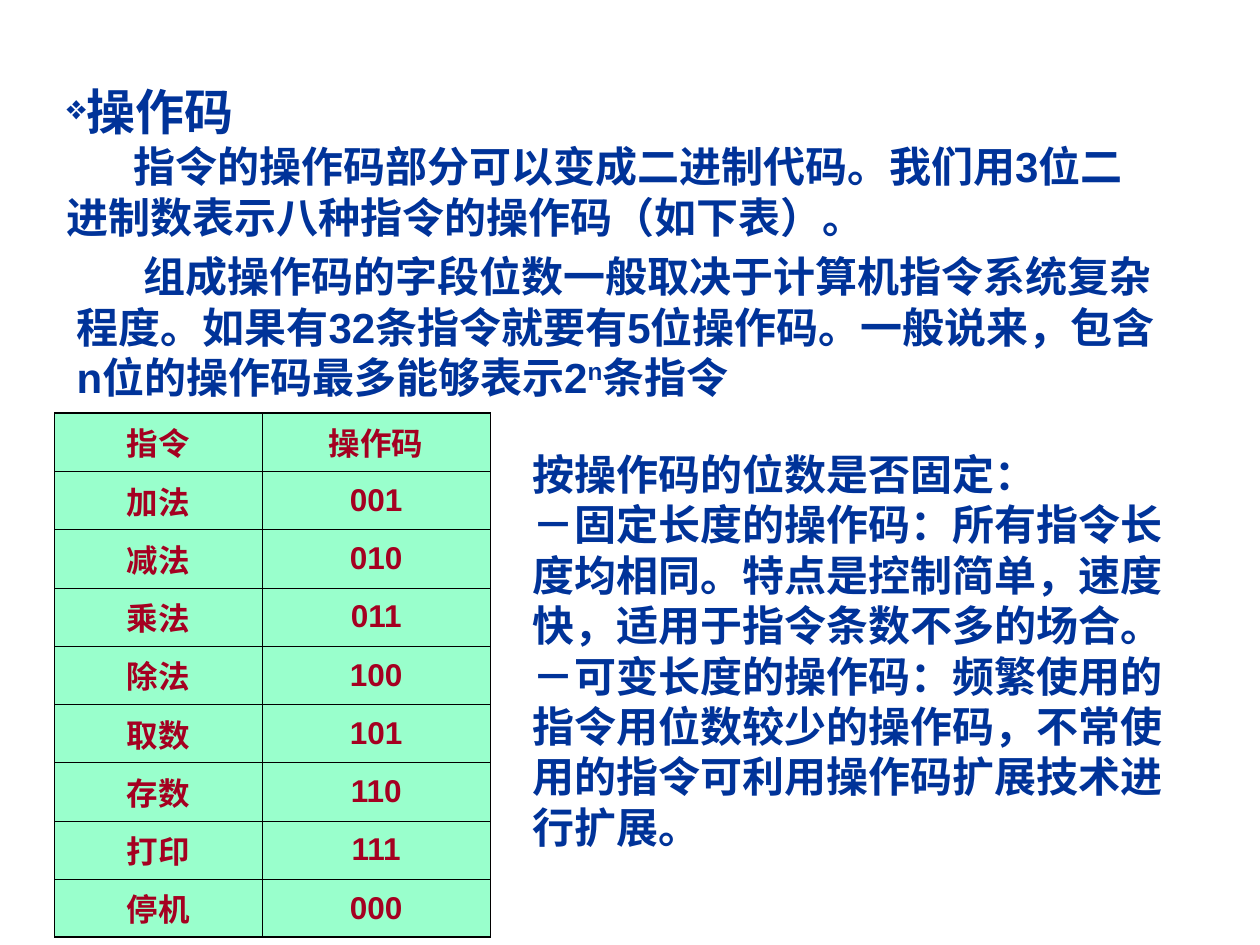
"""Build the slide on operation codes: an opcode table with explanatory text."""
from lxml.etree import SubElement
from pptx import Presentation
from pptx.dml.color import RGBColor as RGB
from pptx.enum.text import MSO_ANCHOR as Anchor, PP_ALIGN as Align
from pptx.oxml.ns import qn
from pptx.util import Pt

COLORS = {"text": "003399", "table_text": "A50021", "cell": "99FFCC",
          "grid": "010000", "edge": "000000"}
INDENT = 38


def add_run(paragraph, text, size, color, font="Arial"):
    run = paragraph.add_run()
    run.text = text
    run.font.size = Pt(size)
    run.font.bold = True
    run.font.name = font
    run.font.color.rgb = RGB.from_string(COLORS[color])
    return run


def add_textbox(slide, left, top, width, height, paragraphs):
    frame = slide.shapes.add_textbox(Pt(left), Pt(top), Pt(width), Pt(height)).text_frame
    frame.word_wrap = True
    for index, (text, size, indent) in enumerate(paragraphs):
        paragraph = frame.paragraphs[0] if index == 0 else frame.add_paragraph()
        if indent:
            paragraph._p.get_or_add_pPr().set("indent", str(Pt(indent)))
        add_run(paragraph, text, size, "text")
    return frame


presentation = Presentation()
presentation.slide_width, presentation.slide_height = Pt(720), Pt(540)
slide = presentation.slides.add_slide(presentation.slide_layouts[6])

rows = [("指令", "操作码"), ("加法", "001"), ("减法", "010"), ("乘法", "011"), ("除法", "100"),
        ("取数", "101"), ("存数", "110"), ("打印", "111"), ("停机", "000")]
last = len(rows) - 1
table = slide.shapes.add_table(len(rows), 2, Pt(31), Pt(236), Pt(249.1), Pt(28.8 * len(rows))).table
table.columns[0].width, table.columns[1].width = Pt(118.8), Pt(130.3)
for row_index, row in enumerate(rows):
    table.rows[row_index].height = Pt(28.8)
    for column_index, text in enumerate(row):
        cell = table.cell(row_index, column_index)
        borders = {
            "a:lnL": ("grid", 0.45 if column_index else 0.06),
            "a:lnR": ("grid", 0.06 if column_index else 0.45),
            "a:lnT": ("edge", 0.96) if row_index == 0 else ("grid", 0.45 if row_index == 1 else 0.06),
            "a:lnB": ("edge", 0.96) if row_index == last else ("grid", 0.06 if row_index else 0.45),
        }
        for tag, (color, width) in borders.items():
            line = SubElement(cell._tc.get_or_add_tcPr(), qn(tag), w=str(Pt(width)))
            SubElement(SubElement(line, qn("a:solidFill")), qn("a:srgbClr"), val=COLORS[color])
        cell.fill.solid()
        cell.fill.fore_color.rgb = RGB.from_string(COLORS["cell"])
        cell.vertical_anchor = Anchor.MIDDLE
        paragraph = cell.text_frame.paragraphs[0]
        paragraph.alignment = Align.CENTER
        add_run(paragraph, text, 18, "table_text", "Arial" if text.isdigit() else "Times New Roman")

heading = add_textbox(slide, 31, 43.2, 640.8, 98.6, [
    ("操作码", 28, 0),
    ("指令的操作码部分可以变成二进制代码。我们用3位二进制数表示八种指令的操作码（如下表）。", 24, INDENT)])
properties = heading.paragraphs[0]._p.get_or_add_pPr()
bullet_color = SubElement(properties, qn("a:buClr"))
SubElement(bullet_color, qn("a:srgbClr"), val=COLORS["text"])
SubElement(properties, qn("a:buSzPct"), val="70000")
SubElement(properties, qn("a:buChar"), char="❖")

length_rule = add_textbox(slide, 36.7, 139.7, 640.8, 93.6, [
    ("组成操作码的字段位数一般取决于计算机指令系统复杂程度。如果有32条指令就要有5位操作码。"
     "一般说来，包含n位的操作码最多能够表示2", 24, INDENT)])
exponent = add_run(length_rule.paragraphs[0], "n", 24, "text")
exponent._r.get_or_add_rPr().set("baseline", "30000")
add_run(length_rule.paragraphs[0], "条指令", 24, "text")

add_textbox(slide, 297.4, 252.7, 385.2, 237.6, [
    ("按操作码的位数是否固定：", 24, 0),
    ("－固定长度的操作码：所有指令长度均相同。特点是控制简单，速度快，适用于指令条数不多的场合。", 24, 0),
    ("－可变长度的操作码：频繁使用的指令用位数较少的操作码，不常使用的指令可利用操作码扩展技术进行扩展。", 24, 0)])

presentation.save("out.pptx")
